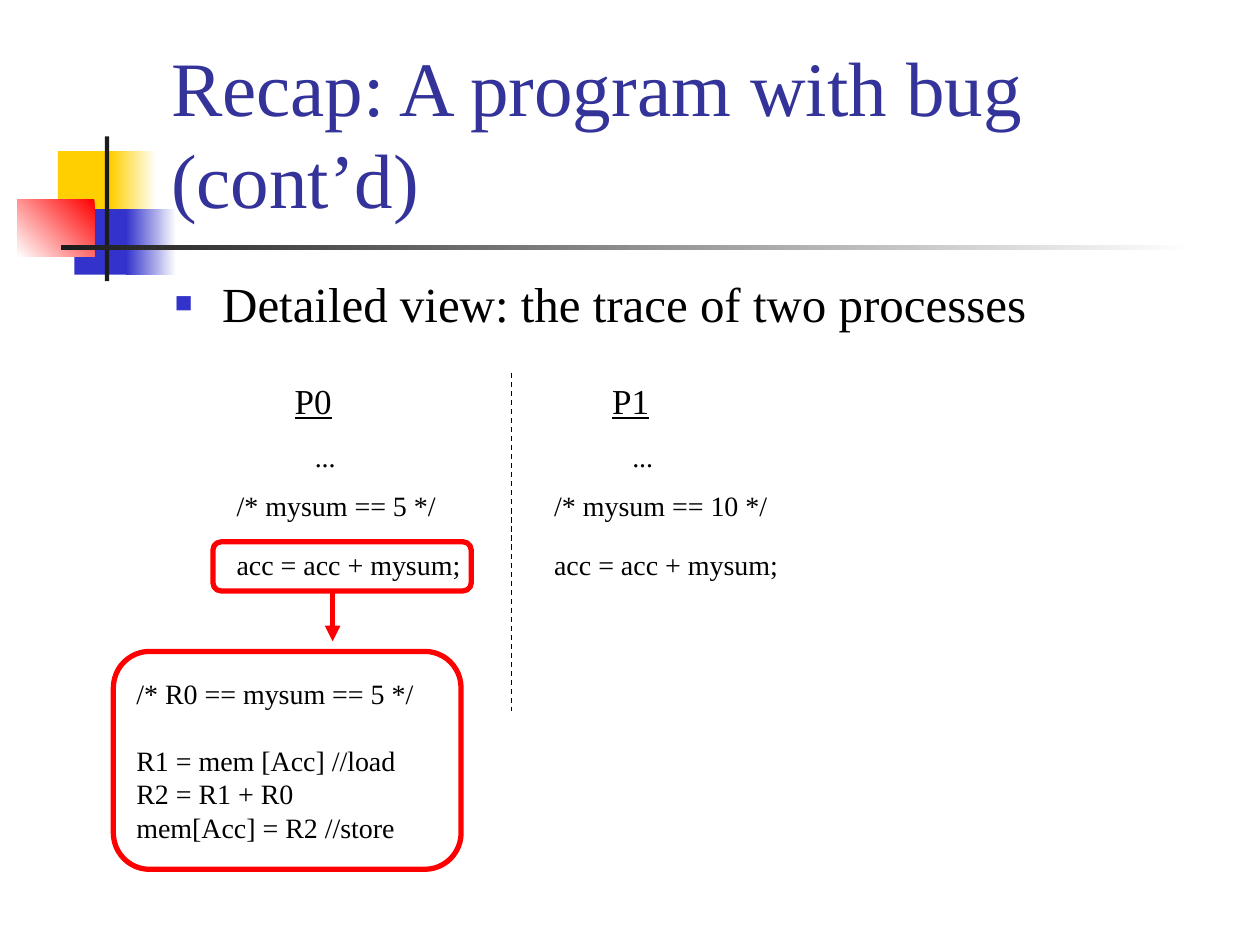
from dataclasses import dataclass

from lxml import etree
from pptx import Presentation
from pptx.dml.color import RGBColor
from pptx.enum import dml, shapes, text
from pptx.oxml import ns
from pptx.util import Pt

FONT = "Times New Roman"
BLACK = RGBColor(0x00, 0x00, 0x00)
WHITE = RGBColor(0xFF, 0xFF, 0xFF)
INK = RGBColor(0x1C, 0x1C, 0x1C)
YELLOW = RGBColor(0xFF, 0xCF, 0x01)
BLUE = RGBColor(0x33, 0x33, 0xCC)
RED = RGBColor(0xFF, 0x00, 0x00)
TITLE_BLUE = RGBColor(0x33, 0x33, 0x99)

COLUMN_LEFT = 128.16
COLUMN_STEP = 181.44
CODE_SIZE = 16


@dataclass
class Box:
    left: float
    top: float
    width: float
    height: float

    def lengths(self):
        return Pt(self.left), Pt(self.top), Pt(self.width), Pt(self.height)


@dataclass
class Block:
    """A decorative rectangle; two colours make a gradient."""
    box: Box
    colors: tuple[RGBColor, ...]
    angle: float = 180


@dataclass
class Label:
    """A line of a process column, placed relative to the column's left."""
    words: str
    box: Box
    size: float = CODE_SIZE
    underline: bool = False


BLOCKS = [
    Block(Box(33.12, 86.4, 34.56, 37.44), (YELLOW,)),
    Block(Box(63.36, 86.4, 25.92, 37.44), (WHITE, YELLOW)),
    Block(Box(42.48, 119.52, 33.12, 37.44), (BLUE,)),
    Block(Box(72, 119.52, 28.8, 37.44), (WHITE, BLUE)),
    Block(Box(10.08, 113.76, 43.92, 33.12), (RED, WHITE), 225),
    Block(Box(59.9, 77.9, 2.5, 82.8), (INK,)),
    Block(Box(34.7, 140.2, 648, 2.5), (WHITE, INK)),
]


def draw_block(slide, block: Block) -> None:
    shape = slide.shapes.add_shape(shapes.MSO_SHAPE.RECTANGLE, *block.box.lengths())
    shape.shadow.inherit = False
    shape.line.fill.background()
    if len(block.colors) == 1:
        shape.fill.solid()
        shape.fill.fore_color.rgb = block.colors[0]
        return
    shape.fill.gradient()
    shape.fill.gradient_angle = block.angle
    for stop, color in zip(shape.fill.gradient_stops, block.colors):
        stop.color.rgb = color


def style(paragraph, size: float, color: RGBColor = BLACK, underline: bool = False) -> None:
    paragraph.alignment = text.PP_ALIGN.LEFT
    font = paragraph.font
    font.name, font.size, font.color.rgb = FONT, Pt(size), color
    if underline:
        font.underline = True


def add_words(container, words: str, box: Box):
    """Add a one-paragraph text box and return its text frame."""
    frame = container.shapes.add_textbox(*box.lengths()).text_frame
    frame.word_wrap = True
    frame.text = words
    return frame


def add_bullet(paragraph, color: RGBColor) -> None:
    properties = paragraph._p.get_or_add_pPr()
    properties.set("marL", str(Pt(27)))
    properties.set("indent", str(-Pt(27)))
    bullet_color = etree.SubElement(properties, ns.qn("a:buClr"))
    etree.SubElement(bullet_color, ns.qn("a:srgbClr"), val=str(color))
    etree.SubElement(properties, ns.qn("a:buSzPct"), val="60000")
    etree.SubElement(properties, ns.qn("a:buFont"), typeface=FONT)
    etree.SubElement(properties, ns.qn("a:buChar"), char="■")


def draw_process(slide, name: str, comment: str, comment_width: float, left: float) -> None:
    labels = [
        Label(name, Box(33.12, 213.12, 35.28, 31.68), 20, True),
        Label(comment, Box(0, 275.76, comment_width, 26.64)),
        Label("acc = acc + mysum;", Box(0, 309.6, 141.84, 26.64)),
        Label("...", Box(44.64, 247.68, 25.92, 26.64)),
    ]
    group = slide.shapes.add_group_shape()
    for label in labels:
        box = Box(left + label.box.left, label.box.top, label.box.width, label.box.height)
        frame = add_words(group, label.words, box)
        frame.margin_right = Pt(0)
        style(frame.paragraphs[0], label.size, underline=label.underline)


def draw_frame(slide, box: Box):
    """Draw a hollow red rounded rectangle."""
    shape = slide.shapes.add_shape(shapes.MSO_SHAPE.ROUNDED_RECTANGLE, *box.lengths())
    shape.shadow.inherit = False
    shape.fill.background()
    shape.line.color.rgb = RED
    shape.line.width = Pt(3)
    return shape


def draw_vertical(slide, x: float, top: float, bottom: float, color: RGBColor, width: float):
    line = slide.shapes.add_connector(
        shapes.MSO_CONNECTOR.STRAIGHT, Pt(x), Pt(top), Pt(x), Pt(bottom))
    line.line.color.rgb = color
    line.line.width = Pt(width)
    etree.SubElement(line._element.spPr, ns.qn("a:effectLst"))
    return line


def draw_registers(slide) -> None:
    frame = draw_frame(slide, Box(64.8, 372.24, 198.72, 124.56)).text_frame
    frame.word_wrap = True
    frame.vertical_anchor = text.MSO_ANCHOR.MIDDLE
    frame.text = "\n".join([
        "/* R0 == mysum == 5 */",
        "R1 = mem [Acc] //load",
        "R2 = R1 + R0",
        "mem[Acc] = R2 //store",
    ])
    for paragraph in frame.paragraphs:
        style(paragraph, CODE_SIZE)
    frame.paragraphs[1].space_before = Pt(19)


def main() -> None:
    presentation = Presentation()
    presentation.slide_width, presentation.slide_height = Pt(720), Pt(540)
    slide = presentation.slides.add_slide(presentation.slide_layouts[6])

    for block in BLOCKS:
        draw_block(slide, block)

    title = add_words(slide, "Recap: A program with bug (cont’d)",
                      Box(90.72, 16.56, 613.44, 115.2))
    title.vertical_anchor = text.MSO_ANCHOR.BOTTOM
    style(title.paragraphs[0], 44, TITLE_BLUE)

    body = add_words(slide, "Detailed view: the trace of two processes",
                     Box(92.88, 159.12, 612, 37.44)).paragraphs[0]
    add_bullet(body, BLUE)
    body.line_spacing = 0.8
    style(body, 28)

    divider = draw_vertical(slide, 292.32, 213.12, 406.08, BLACK, 0.75)
    divider.line.dash_style = dml.MSO_LINE.DASH

    draw_process(slide, "P0", "/* mysum == 5 */", 128.16, COLUMN_LEFT)
    draw_process(slide, "P1", "/* mysum == 10 */", 136.08, COLUMN_LEFT + COLUMN_STEP)

    draw_registers(slide)
    draw_frame(slide, Box(121.68, 309.6, 147.6, 28.08))
    arrow = draw_vertical(slide, 190.08, 337.68, 366.48, RED, 3)
    etree.SubElement(arrow.line._get_or_add_ln(), ns.qn("a:tailEnd"), type="triangle")

    presentation.save("out.pptx")


if __name__ == "__main__":
    main()
